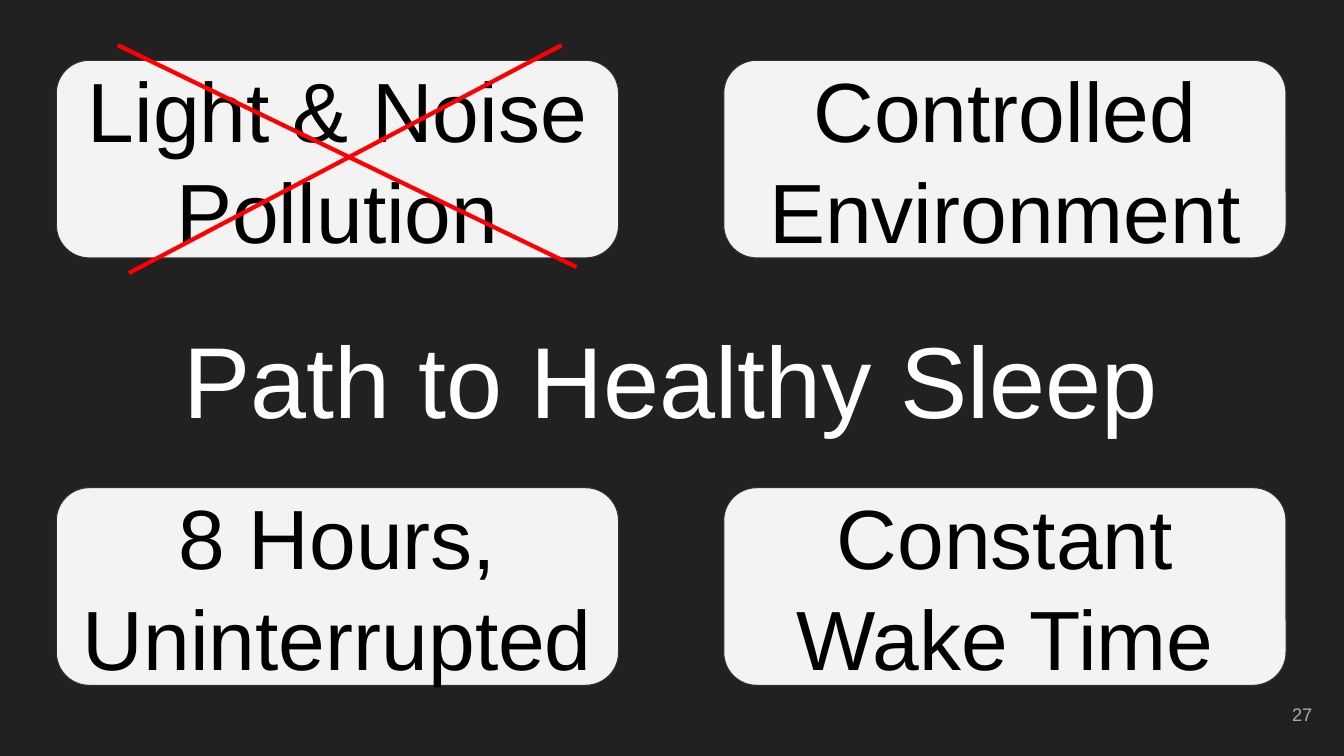
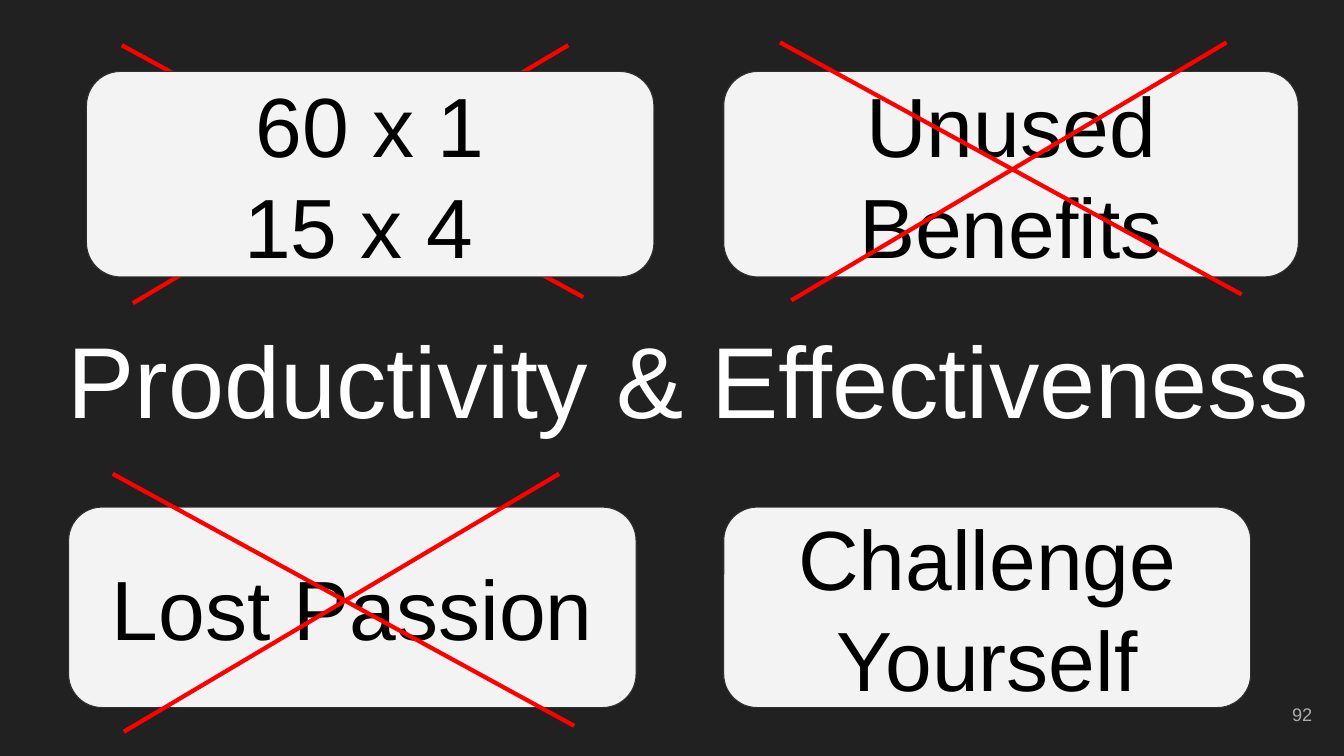
import pptx
import pptx.dml.color
import pptx.enum.shapes
import pptx.enum.text
import pptx.oxml
import pptx.util
from pptx.util import Cm

FONT = "Arial"
BACKGROUND = "212121"
CARD_FILL = "F3F3F3"
CARD_LINE = "303030"
CARD_TEXT = "000000"
TITLE_TEXT = "FFFFFF"
NUMBER_TEXT = "ADADAD"
CROSS_LINE = "FF0000"

ALIGN = pptx.enum.text.PP_ALIGN
SHAPE = pptx.enum.shapes.MSO_SHAPE
STRAIGHT = pptx.enum.shapes.MSO_CONNECTOR.STRAIGHT

# Boxes are left, top, width, height in centimetres
NUMBER_BOX = (31.37, 17.27, 2.03, 1.45)

# Cards are listed from back to front: text, box, cross box, cross behind the card
SLEEP = {
    "title": "Path to Healthy Sleep",
    "title_box": (1.14, 7.98, 31.55, 3.12),
    "number": "27",
    "cards": [
        ("Light & Noise\nPollution", (1.42, 1.52, 14.17, 4.98), (2.97, 1.14, 11.56, 5.74), False),
        ("Controlled Environment", (18.24, 1.52, 14.17, 4.98), None, False),
        ("8 Hours,\nUninterrupted", (1.42, 12.29, 14.17, 4.98), None, False),
        ("Constant Wake Time", (18.24, 12.29, 14.17, 4.98), None, False),
    ],
}
PRODUCTIVITY = {
    "title": "Productivity & Effectiveness",
    "title_box": (1.3, 7.98, 32.11, 3.12),
    "number": "92",
    "cards": [
        ("60 x 1\n15 x 4 ", (2.18, 1.8, 14.3, 5.18), (3.07, 1.14, 11.63, 6.5), True),
        ("Unused Benefits", (18.24, 1.8, 14.48, 5.18), (19.66, 1.07, 11.63, 6.5), False),
        ("Lost Passion", (1.73, 12.78, 14.3, 5.05), (2.84, 11.94, 11.63, 6.5), False),
        ("Challenge Yourself", (18.24, 12.78, 13.28, 5.05), None, False),
    ],
}


def color(value):
    return pptx.dml.color.RGBColor.from_string(value)


def to_cm(box):
    return [Cm(length) for length in box]


def write_text(shape, text, size, ink, align=ALIGN.CENTER, inset=0.33):
    """Fill a shape with one paragraph per line of text."""
    frame = shape.text_frame
    frame.word_wrap = True
    frame.vertical_anchor = pptx.enum.text.MSO_ANCHOR.MIDDLE
    frame.margin_left = frame.margin_right = Cm(inset)
    frame.margin_top = frame.margin_bottom = Cm(inset)
    for index, line in enumerate(text.split("\n")):
        para = frame.add_paragraph() if index else frame.paragraphs[0]
        para.alignment = align
        span = para.add_run()
        span.text = line
        span.font.name = FONT
        span.font.size = pptx.util.Pt(size)
        span.font.color.rgb = color(ink)


def add_label(page, box, text, **style):
    write_text(page.shapes.add_textbox(*to_cm(box)), text, **style)


def add_card(page, box, text):
    card = page.shapes.add_shape(SHAPE.ROUNDED_RECTANGLE, *to_cm(box))
    card.shadow.inherit = False
    card.fill.solid()
    card.fill.fore_color.rgb = color(CARD_FILL)
    card.line.color.rgb = color(CARD_LINE)
    card.line.width = pptx.util.Pt(0.75)
    write_text(card, text, size=60, ink=CARD_TEXT, inset=0.25)


def add_cross(page, box):
    left, top, width, height = box
    right, bottom = left + width, top + height
    strokes = [
        (left, top, right, bottom - 0.15),
        (left + 0.28, bottom, right - 0.38, top),
    ]
    for ends in strokes:
        stroke = page.shapes.add_connector(STRAIGHT, *to_cm(ends))
        stroke.line.color.rgb = color(CROSS_LINE)
        stroke.line.width = pptx.util.Pt(3)
        properties = stroke.element.spPr
        properties.append(pptx.oxml.parse_xml(
            '<a:effectLst xmlns:a="http://schemas.openxmlformats.org/drawingml/2006/main"/>'))


def add_page(deck, content):
    page = deck.slides.add_slide(deck.slide_layouts[6])
    page.background.fill.solid()
    page.background.fill.fore_color.rgb = color(BACKGROUND)

    # Title and page number
    add_label(page, content["title_box"], content["title"], size=72, ink=TITLE_TEXT)
    add_label(page, NUMBER_BOX, content["number"], size=13, ink=NUMBER_TEXT, align=ALIGN.RIGHT)

    # Cards, some crossed out
    for text, box, cross_box, behind in content["cards"]:
        if cross_box and behind:
            add_cross(page, cross_box)
        add_card(page, box, text)
        if cross_box and not behind:
            add_cross(page, cross_box)


def main():
    deck = pptx.Presentation()
    deck.slide_width = Cm(33.87)
    deck.slide_height = Cm(19.05)
    for content in (SLEEP, PRODUCTIVITY):
        add_page(deck, content)
    deck.save("out.pptx")


if __name__ == "__main__":
    main()
